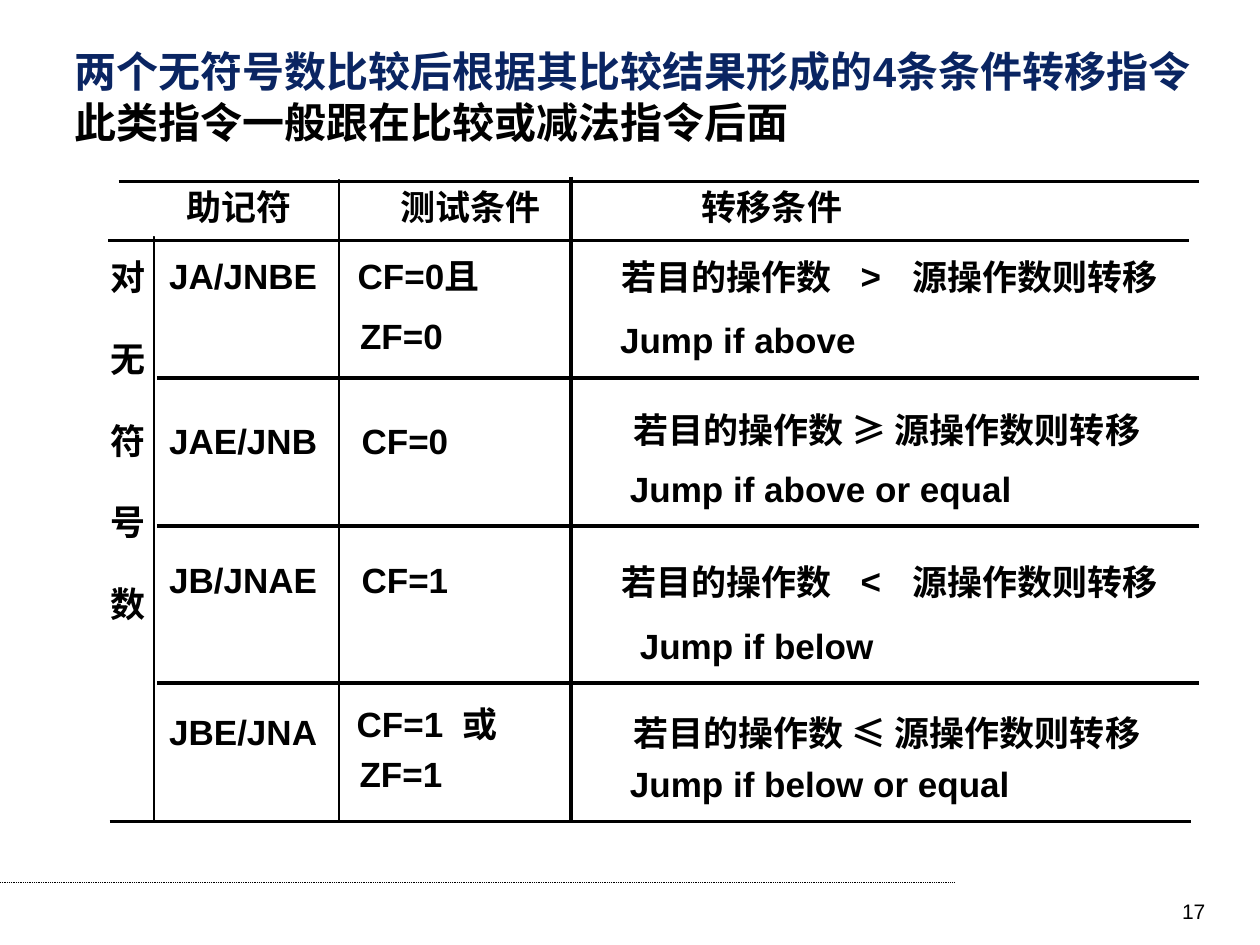
from dataclasses import dataclass

import pptx
import pptx.dml.color
import pptx.enum.dml
import pptx.enum.shapes
import pptx.enum.text
import pptx.oxml
import pptx.oxml.ns
import pptx.util
from pptx.util import Cm

LATIN = "Arial"
CHINESE = "Noto Sans CJK SC"
BLACK = "000000"
NAVY = "0A2562"
LINE_HEIGHT = 0.84


@dataclass(frozen=True)
class Label:
    text: str
    left: float
    top: float
    width: float
    font: str = LATIN
    wraps: bool = False
    height: float = LINE_HEIGHT


@dataclass(frozen=True)
class Rule:
    left: float
    top: float
    right: float
    bottom: float
    weight: float


def hex_color(value: str) -> pptx.dml.color.RGBColor:
    return pptx.dml.color.RGBColor.from_string(value)


def style_paragraph(paragraph, size: float, font: str, color: str, bold: bool) -> None:
    paragraph.font.size = pptx.util.Pt(size)
    paragraph.font.name = font
    paragraph.font.bold = bold
    paragraph.font.color.rgb = hex_color(color)
    properties = paragraph._p.get_or_add_pPr().find(pptx.oxml.ns.qn("a:defRPr"))
    east_asian = pptx.oxml.parse_xml(f'<a:ea {pptx.oxml.ns.nsdecls("a")} typeface="{CHINESE}"/>')
    properties.find(pptx.oxml.ns.qn("a:latin")).addnext(east_asian)


def add_text_frame(shapes, left: float, top: float, width: float, height: float, wraps: bool):
    frame = shapes.add_textbox(Cm(left), Cm(top), Cm(width), Cm(height)).text_frame
    frame.word_wrap = wraps
    return frame


def add_label(shapes, label: Label) -> None:
    frame = add_text_frame(shapes, label.left, label.top, label.width, label.height, label.wraps)
    frame.auto_size = pptx.enum.text.MSO_AUTO_SIZE.SHAPE_TO_FIT_TEXT
    frame.margin_left = frame.margin_right = frame.margin_top = frame.margin_bottom = 0
    paragraph = frame.paragraphs[0]
    paragraph.text = label.text
    if not label.text.isascii():
        paragraph.line_spacing = pptx.util.Pt(24)
    style_paragraph(paragraph, 20, label.font, BLACK, True)


def add_rule(shapes, rule: Rule):
    connector = shapes.add_connector(
        pptx.enum.shapes.MSO_CONNECTOR.STRAIGHT,
        Cm(rule.left), Cm(rule.top), Cm(rule.right), Cm(rule.bottom),
    )
    connector.line.color.rgb = hex_color(BLACK)
    connector.line.width = pptx.util.Pt(rule.weight)
    connector._element.spPr.append(
        pptx.oxml.parse_xml(f'<a:effectLst {pptx.oxml.ns.nsdecls("a")}/>')
    )
    return connector


def add_thin_bar(shapes, left: float, top: float, height: float) -> None:
    bar = shapes.add_shape(
        pptx.enum.shapes.MSO_SHAPE.RECTANGLE, Cm(left), Cm(top), Cm(0.01), Cm(height)
    )
    bar.shadow.inherit = False
    bar.fill.solid()
    bar.fill.fore_color.rgb = hex_color(BLACK)
    bar.line.color.rgb = hex_color(BLACK)
    bar.line.width = pptx.util.Pt(0.75)


def add_title(shapes) -> None:
    frame = add_text_frame(shapes, 1.26, 0.79, 23.39, 2.29, False)
    frame.auto_size = pptx.enum.text.MSO_AUTO_SIZE.SHAPE_TO_FIT_TEXT
    lines = [
        ("两个无符号数比较后根据其比较结果形成的4条条件转移指令", NAVY),
        ("此类指令一般跟在比较或减法指令后面", BLACK),
    ]
    for index, (text, color) in enumerate(lines):
        paragraph = frame.add_paragraph() if index else frame.paragraphs[0]
        paragraph.text = text
        paragraph.line_spacing = pptx.util.Pt(29)
        style_paragraph(paragraph, 24, LATIN, color, True)


def add_page_number(shapes) -> None:
    paragraph = add_text_frame(shapes, 18.63, 17.98, 5.92, 0.69, True).paragraphs[0]
    paragraph.text = "17"
    paragraph.alignment = pptx.enum.text.PP_ALIGN.RIGHT
    style_paragraph(paragraph, 12, LATIN, BLACK, False)


def table_labels() -> list[Label]:
    headings = [
        Label("助记符", 3.76, 3.75, 2.3, CHINESE),
        Label("测试条件", 8.08, 3.75, 3, CHINESE),
        Label("转移条件", 14.15, 3.75, 3, CHINESE),
    ]
    side = [
        Label(character, 2.23, 5.15 + 1.65 * index, 0.71, CHINESE)
        for index, character in enumerate("对无符号数")
    ]
    mnemonics = [
        Label(text, 3.41, top, 3)
        for text, top in [("JA/JNBE", 5.13), ("JAE/JNB", 8.46), ("JB/JNAE", 11.25), ("JBE/JNA", 14.33)]
    ]
    tests = [
        Label("CF=0且", 7.21, 5.13, 2.9, height=1.7),
        Label("ZF=0", 7.26, 6.35, 2.44, wraps=True),
        Label("CF=0", 7.29, 8.46, 1.75),
        Label("CF=1", 7.29, 11.25, 1.75),
        Label("CF=1", 7.19, 14.17, 1.75),
        Label("或", 9.32, 14.17, 1.32, CHINESE, True),
        Label("ZF=1", 7.25, 15.16, 1.68),
    ]
    comparisons = []
    for sign, top in [(">", 5.15), ("<", 11.29)]:
        comparisons += [
            Label("若目的操作数", 12.52, top, 4.5, CHINESE),
            Label(sign, 17.35, top - 0.01, 0.41),
            Label("源操作数则转移", 18.39, top, 5.1, CHINESE),
        ]
    comparisons += [
        Label(f"若目的操作数 {sign} 源操作数则转移", 12.77, top, 10.6, CHINESE)
        for sign, top in [("≥", 8.23), ("≤", 14.35)]
    ]
    jumps = [
        Label("Jump if above", 12.5, 6.43, 5.87, wraps=True),
        Label("Jump if above or equal", 12.7, 9.42, 9.3, wraps=True),
        Label("Jump if below", 12.9, 12.59, 5.87, wraps=True),
        Label("Jump if below or equal", 12.7, 15.37, 9.53, wraps=True),
    ]
    return headings + side + mnemonics + tests + comparisons + jumps


def add_instruction_table(shapes) -> None:
    for label in table_labels():
        add_label(shapes, label)
    add_thin_bar(shapes, 3.1, 4.78, 11.78)
    add_thin_bar(shapes, 6.83, 3.63, 12.93)
    row_rules = [Rule(3.16, top, 24.18, top, 2.25) for top in (7.62, 10.6, 13.77)]
    frame_rules = [
        Rule(left, top, left + 21.79, top, 2)
        for left, top in [(2.21, 16.56), (2.18, 4.85), (2.39, 3.66)]
    ]
    for rule in row_rules + frame_rules + [Rule(11.51, 3.56, 11.51, 16.56, 2)]:
        add_rule(shapes, rule)


def main() -> None:
    presentation = pptx.Presentation()
    presentation.slide_width = Cm(25.4)
    presentation.slide_height = Cm(19.05)
    slide = presentation.slides.add_slide(presentation.slide_layouts[6])
    footer = add_rule(slide.shapes, Rule(0, 17.78, 19.25, 17.78, 0.5))
    footer.line.dash_style = pptx.enum.dml.MSO_LINE.ROUND_DOT
    add_title(slide.shapes)
    add_page_number(slide.shapes)
    add_instruction_table(slide.shapes.add_group_shape().shapes)
    presentation.save("out.pptx")


if __name__ == "__main__":
    main()
